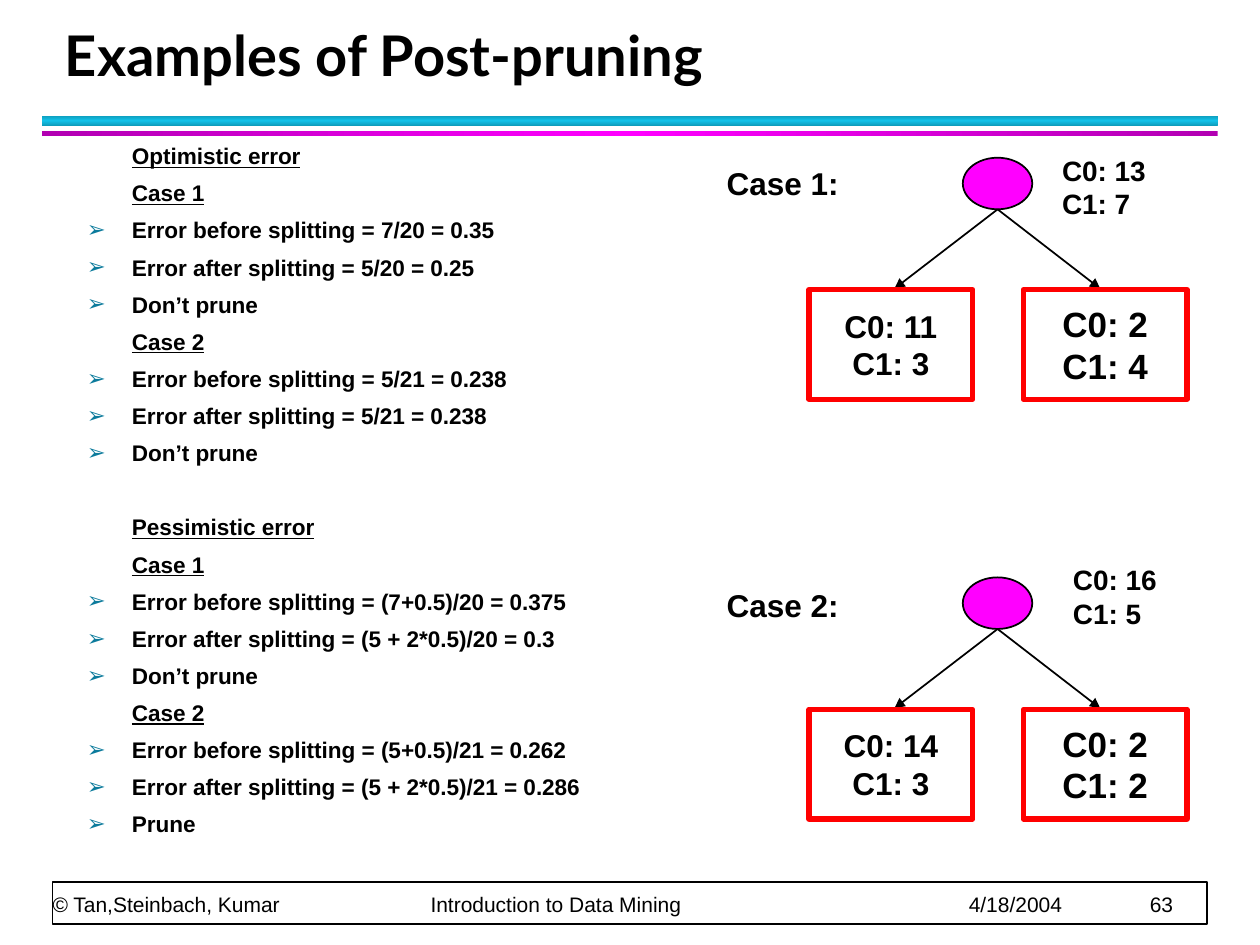
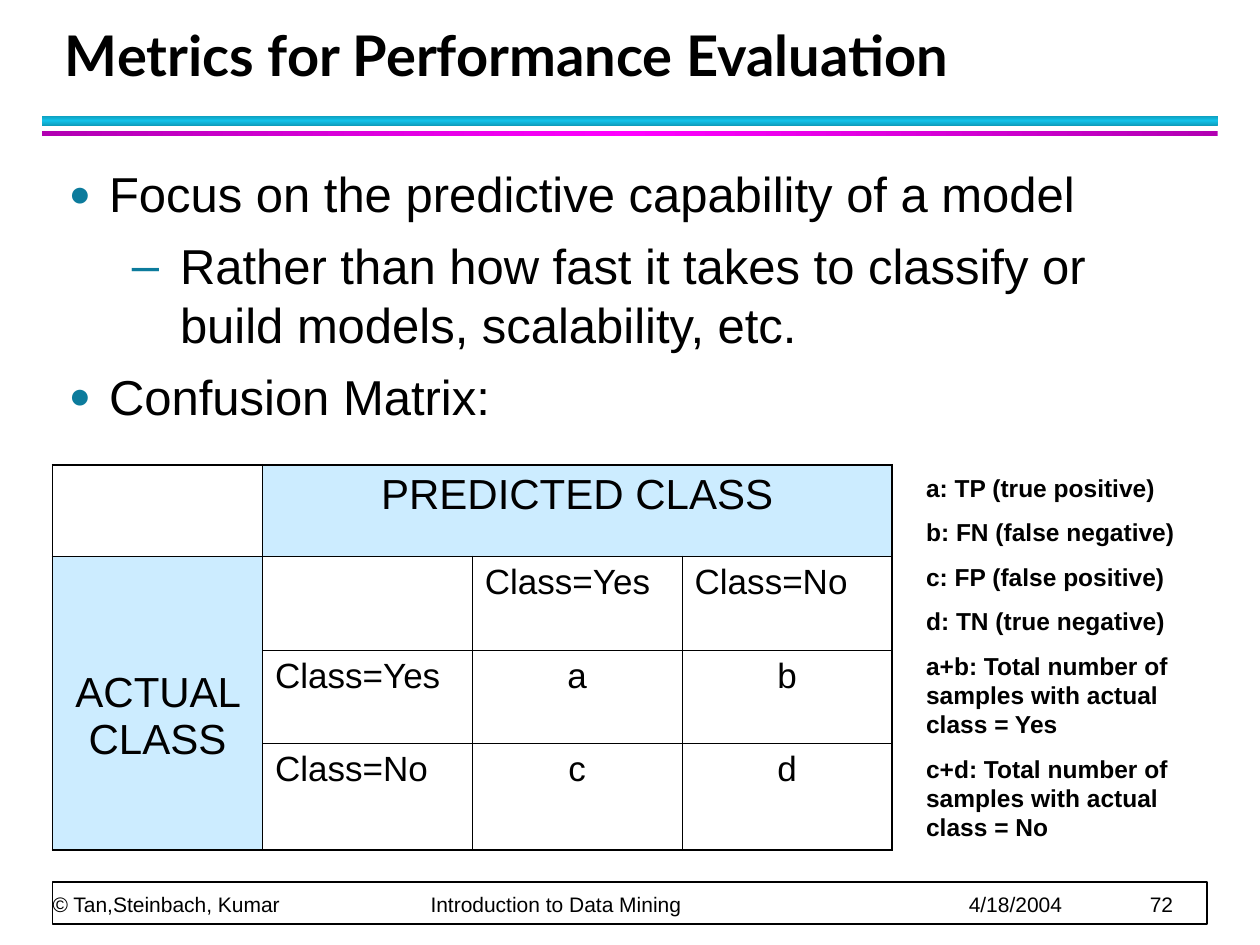
from copy import deepcopy

from pptx import Presentation
from pptx.dml.color import RGBColor
from pptx.enum.shapes import MSO_CONNECTOR, MSO_SHAPE
from pptx.enum.text import MSO_ANCHOR, PP_ALIGN
from pptx.oxml.ns import qn
from pptx.util import Cm, Pt
from lxml.etree import SubElement

BLACK = RGBColor(0x00, 0x00, 0x00)
WHITE = RGBColor(0xFF, 0xFF, 0xFF)
MAGENTA = RGBColor(0xFF, 0x00, 0xFF)
DARK_MAGENTA = RGBColor(0xB2, 0x00, 0xB2)
CYAN = RGBColor(0x12, 0xC2, 0xE9)
DARK_CYAN = RGBColor(0x0E, 0x9B, 0xBA)
TEAL = RGBColor(0x0C, 0x7B, 0x9C)
RED = RGBColor(0xFF, 0x00, 0x00)
PALE_BLUE = RGBColor(0xCC, 0xEC, 0xFF)

BODY_FONT, TITLE_FONT = "Arial", "Lato"
LEADING = 1.195
INSETS = (0.25, 0.13, 0.25, 0.13)

FOOTER = ["© Tan,Steinbach, Kumar", "Introduction to Data Mining", "4/18/2004"]
FOOTER_TABS = (7.62, 18.47, 22.12)

PRUNING_TITLE = "Examples of Post-pruning"
PRUNING_PAGE = 63
ERROR_ESTIMATES = [
    ("Optimistic error", [
        ("Case 1", ["Error before splitting = 7/20 = 0.35",
                    "Error after splitting = 5/20 = 0.25",
                    "Don’t prune"]),
        ("Case 2", ["Error before splitting = 5/21 = 0.238",
                    "Error after splitting = 5/21 = 0.238",
                    "Don’t prune"]),
    ]),
    ("Pessimistic error", [
        ("Case 1", ["Error before splitting = (7+0.5)/20 = 0.375",
                    "Error after splitting = (5 + 2*0.5)/20 = 0.3",
                    "Don’t prune"]),
        ("Case 2", ["Error before splitting = (5+0.5)/21 = 0.262",
                    "Error after splitting = (5 + 2*0.5)/21 = 0.286",
                    "Prune"]),
    ]),
]
# label, top of tree, label top, left and top of root counts, root, leaves
TREES = [
    ("Case 1:", 3.18, 3.18, (21.16, 2.97), ["C0: 13", "C1: 7"],
     [["C0: 11", "C1: 3"], ["C0: 2", "C1: 4"]]),
    ("Case 2:", 11.64, 11.68, (21.38, 11.22), ["C0: 16", "C1: 5"],
     [["C0: 14", "C1: 3"], ["C0: 2", "C1: 2"]]),
]
LEAF_SIZES = (18, 20)

METRICS_TITLE = "Metrics for Performance Evaluation"
METRICS_PAGE = 72
METRICS_POINTS = [
    (0, "Focus on the predictive capability of a model"),
    (1, "Rather than how fast it takes to classify or build models, "
        "scalability, etc."),
    (0, "Confusion Matrix:"),
]
# left margin, first-line indent, bullet, bullet size in percent
POINT_LEVELS = [(0.81, -0.81, "●", 75), (2.24, -0.97, "–", 100)]
CONFUSION_MATRIX = [
    ["", "PREDICTED CLASS", "", ""],
    ["ACTUAL CLASS", "", "Class=Yes", "Class=No"],
    ["", "Class=Yes", "a", "b"],
    ["", "Class=No", "c", "d"],
]
ROW_HEIGHTS = (1.84, 1.91, 1.86, 2.16)
COLUMN_WIDTH = 4.23
LEGEND = [
    "a: TP (true positive)",
    "b: FN (false negative)",
    "c: FP (false positive)",
    "d: TN (true negative)",
    "a+b: Total number of samples with actual class = Yes",
    "c+d: Total number of samples with actual class = No",
]


def cm_all(*lengths):
    return [Cm(length) for length in lengths]


def set_frame(frame, anchor=MSO_ANCHOR.TOP, insets=INSETS, wrap=True):
    frame.word_wrap = wrap
    frame.vertical_anchor = anchor
    (frame.margin_left, frame.margin_top,
     frame.margin_right, frame.margin_bottom) = cm_all(*insets)


def add_span(para, text, size, bold=False, underline=False, font=BODY_FONT):
    span = para.add_run()
    span.text = text
    span.font.name = font
    span.font.size = Pt(size)
    span.font.bold = bold
    span.font.underline = underline
    span.font.color.rgb = BLACK


def add_para(frame, text, size, before=0, after=0, align=PP_ALIGN.LEFT,
             leading=None, **style):
    """Fill the frame's empty first paragraph, or append a new one."""
    first = frame.paragraphs[0]
    para = frame.add_paragraph() if first.runs else first
    para.alignment = align
    para.line_spacing = Pt(leading or round(size * LEADING, 1))
    para.space_before = Pt(before if para is not first else 0)
    para.space_after = Pt(after)
    add_span(para, text, size, **style)
    return para


def set_indent(para, margin, indent=0):
    properties = para._p.get_or_add_pPr()
    properties.set("marL", str(Cm(margin)))
    properties.set("indent", str(Cm(indent)))
    return properties


def set_bullet(para, margin, indent, bullet, percent=100):
    properties = set_indent(para, margin, indent)
    color = SubElement(properties, qn("a:buClr"))
    SubElement(color, qn("a:srgbClr"), val=str(TEAL))
    SubElement(properties, qn("a:buSzPct"), val=str(percent * 1000))
    SubElement(properties, qn("a:buFont"), typeface=BODY_FONT)
    SubElement(properties, qn("a:buChar"), char=bullet)


def add_box(page, left, top, width, height, **frame_style):
    box = page.shapes.add_textbox(*cm_all(left, top, width, height))
    set_frame(box.text_frame, **frame_style)
    return box.text_frame


def add_figure(page, kind, place, fill=None, line=None, weight=1):
    figure = page.shapes.add_shape(kind, *cm_all(*place))
    figure.shadow.inherit = False
    if fill is None:
        figure.fill.background()
    else:
        figure.fill.solid()
        figure.fill.fore_color.rgb = fill
    if line is None:
        figure.line.fill.background()
    else:
        figure.line.color.rgb = line
        figure.line.width = Pt(weight)
    return figure


def add_band(page, top, height, edge, middle, angle):
    band = add_figure(page, MSO_SHAPE.RECTANGLE, (0.85, top, 23.7, height))
    band.fill.gradient()
    band.fill.gradient_angle = angle
    stop_list = band._element.spPr.find(".//" + qn("a:gsLst"))
    stop_list.append(deepcopy(stop_list[0]))
    stops = zip(band.fill.gradient_stops, (0, 0.5, 1), (edge, middle, edge))
    for stop, position, color in stops:
        stop.position = position
        stop.color.rgb = color


def add_page(deck, title, number):
    page = deck.slides.add_slide(deck.slide_layouts[5])
    add_band(page, 2.33, 0.21, DARK_CYAN, CYAN, 90)
    add_band(page, 2.64, 0.1, DARK_MAGENTA, MAGENTA, 0)

    heading = page.shapes.title
    heading.left, heading.top, heading.width, heading.height = cm_all(
        1.06, 0.42, 23, 1.48)
    set_frame(heading.text_frame, MSO_ANCHOR.BOTTOM)
    add_para(heading.text_frame, title, 32, leading=36, bold=True,
             font=TITLE_FONT)

    add_figure(page, MSO_SHAPE.RECTANGLE, (1.06, 17.78, 23.28, 0.85),
               WHITE, BLACK)
    frame = add_box(page, 1.06, 17.07, 23.24, 1.42,
                    anchor=MSO_ANCHOR.BOTTOM, insets=(0, 0, 0, 0))
    footer = add_para(frame, "\t".join(FOOTER + [str(number)]), 12, leading=20)
    tabs = SubElement(footer._p.get_or_add_pPr(), qn("a:tabLst"))
    for position in FOOTER_TABS:
        SubElement(tabs, qn("a:tab"), pos=str(Cm(position)), algn="l")
    return page


def add_arrow(page, start, end):
    arrow = page.shapes.add_connector(MSO_CONNECTOR.STRAIGHT,
                                      *cm_all(*start, *end))
    arrow.line.color.rgb = BLACK
    arrow.line.width = Pt(1)
    SubElement(arrow.line._get_or_add_ln(), qn("a:tailEnd"), type="triangle")
    SubElement(arrow._element.spPr, qn("a:effectLst"))


def add_tree(page, top, leaves):
    root_left, root_width, root_height = 19.41, 1.4, 1.04
    leaf_left, leaf_step, leaf_width, leaf_height = 16.31, 4.32, 3.3, 2.21
    leaf_top = top + 2.66
    root_bottom = (root_left + root_width / 2, top + root_height)
    add_figure(page, MSO_SHAPE.OVAL, (root_left, top, root_width, root_height),
               MAGENTA, BLACK)
    for side, (counts, size) in enumerate(zip(leaves, LEAF_SIZES)):
        left = leaf_left + side * leaf_step
        add_arrow(page, root_bottom, (18.03 + side * 4.15, leaf_top - 0.02))
        leaf = add_figure(page, MSO_SHAPE.RECTANGLE,
                          (left, leaf_top, leaf_width, leaf_height),
                          line=RED, weight=3)
        set_frame(leaf.text_frame, MSO_ANCHOR.MIDDLE, wrap=False)
        for count in counts:
            add_para(leaf.text_frame, count, size, align=PP_ALIGN.CENTER,
                     bold=True)


def build_pruning_page(deck):
    page = add_page(deck, PRUNING_TITLE, PRUNING_PAGE)
    frame = add_box(page, 1.14, 2.74, 12.83, 14.4)
    size, margin, after = 12.9, 1.27, 5.8

    def add_heading(text, before=0):
        heading = add_para(frame, text, size, before, after, bold=True,
                           underline=True)
        set_indent(heading, margin)

    for estimate, cases in ERROR_ESTIMATES:
        add_heading(estimate, before=21.3)
        for case, findings in cases:
            add_heading(case)
            for finding in findings:
                para = add_para(frame, finding, size, after=after, bold=True)
                set_bullet(para, margin, -0.91, "➢")

    for label, top, label_top, counts_place, counts, leaves in TREES:
        add_tree(page, top, leaves)
        add_para(add_box(page, 14.4, label_top, 3.38, 1.02), label, 18,
                 bold=True)
        counts_frame = add_box(page, *counts_place, 3.18, 1.63)
        for count in counts:
            add_para(counts_frame, count, 16, bold=True)


def set_borders(cell, outer_edges):
    properties = cell._tc.get_or_add_tcPr()
    for edge in "LRTB":
        weight = 1.08 if edge in outer_edges else 0.45
        line = SubElement(properties, qn("a:ln" + edge), w=str(Pt(weight)))
        fill = SubElement(line, qn("a:solidFill"))
        SubElement(fill, qn("a:srgbClr"), val=str(BLACK))


def add_confusion_matrix(page):
    count = len(CONFUSION_MATRIX)
    table = page.shapes.add_table(count, count, *cm_all(
        1.06, 9.37, COLUMN_WIDTH * count, sum(ROW_HEIGHTS))).table
    table.first_row = table.horz_banding = False
    for column in table.columns:
        column.width = Cm(COLUMN_WIDTH)
    for row, height in zip(table.rows, ROW_HEIGHTS):
        row.height = Cm(height)
    table.cell(0, 1).merge(table.cell(0, 3))
    table.cell(1, 0).merge(table.cell(3, 0))

    for r, texts in enumerate(CONFUSION_MATRIX):
        for c, text in enumerate(texts):
            cell = table.cell(r, c)
            outer = {"L": c == 0, "R": c + cell.span_width == count,
                     "T": r == 0, "B": r + cell.span_height == count}
            set_borders(cell, [edge for edge in outer if outer[edge]])
            cell.fill.solid()
            is_axis = cell.is_merge_origin or cell.is_spanned
            cell.fill.fore_color.rgb = PALE_BLUE if is_axis else WHITE
            if text:
                para = cell.text_frame.paragraphs[0]
                centred = is_axis or len(text) == 1
                para.alignment = PP_ALIGN.CENTER if centred else PP_ALIGN.LEFT
                add_span(para, text, 24 if is_axis else 20)
    actual = table.cell(1, 0)
    actual.vertical_anchor = MSO_ANCHOR.MIDDLE
    actual.margin_top = Cm(0.65)


def build_metrics_page(deck):
    page = add_page(deck, METRICS_TITLE, METRICS_PAGE)
    frame = add_box(page, 1.14, 3.18, 23.11, 5.8)
    for level, text in METRICS_POINTS:
        para = add_para(frame, text, 28, before=3.5, after=4)
        set_bullet(para, *POINT_LEVELS[level])
    add_confusion_matrix(page)
    legend = add_box(page, 18.42, 9.4, 6.15, 7.75)
    for meaning in LEGEND:
        add_para(legend, meaning, 14, before=8.8, bold=True)


def main():
    deck = Presentation()
    deck.slide_width, deck.slide_height = cm_all(25.4, 19.05)
    build_pruning_page(deck)
    build_metrics_page(deck)
    deck.save("out.pptx")


if __name__ == "__main__":
    main()
